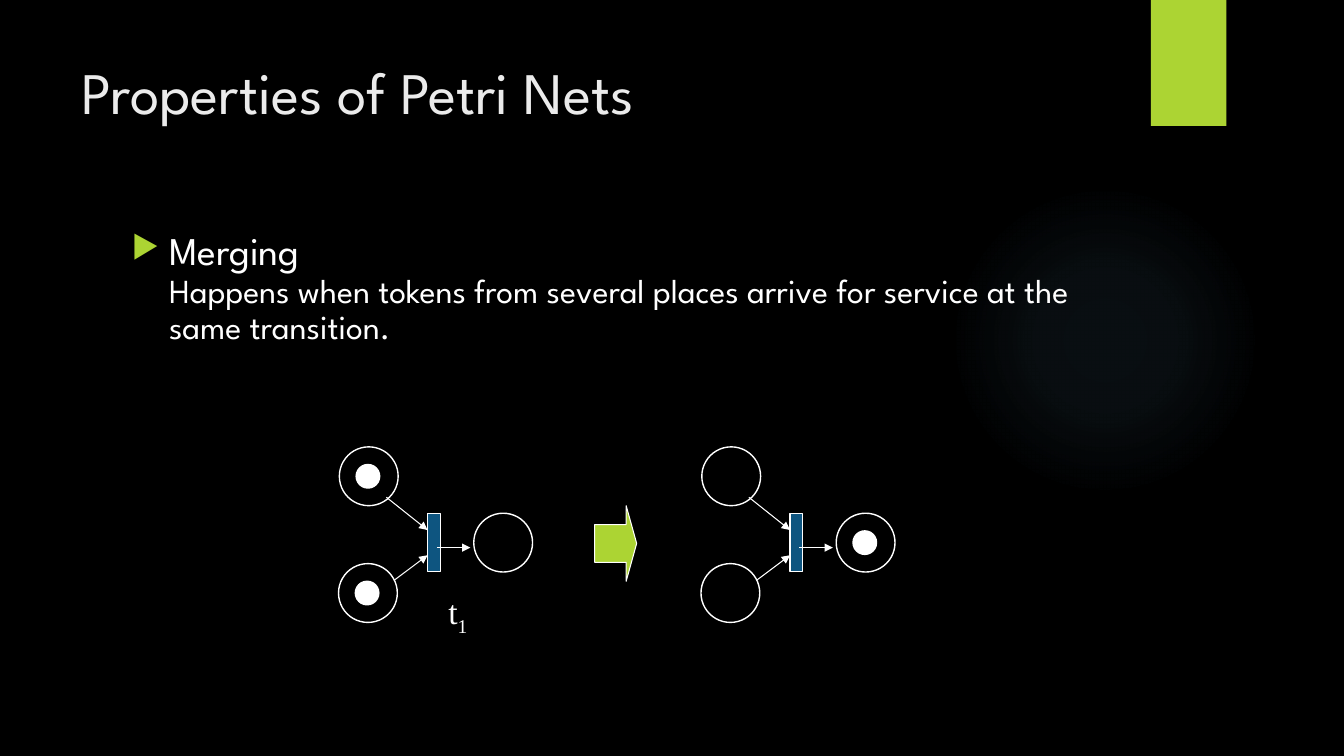
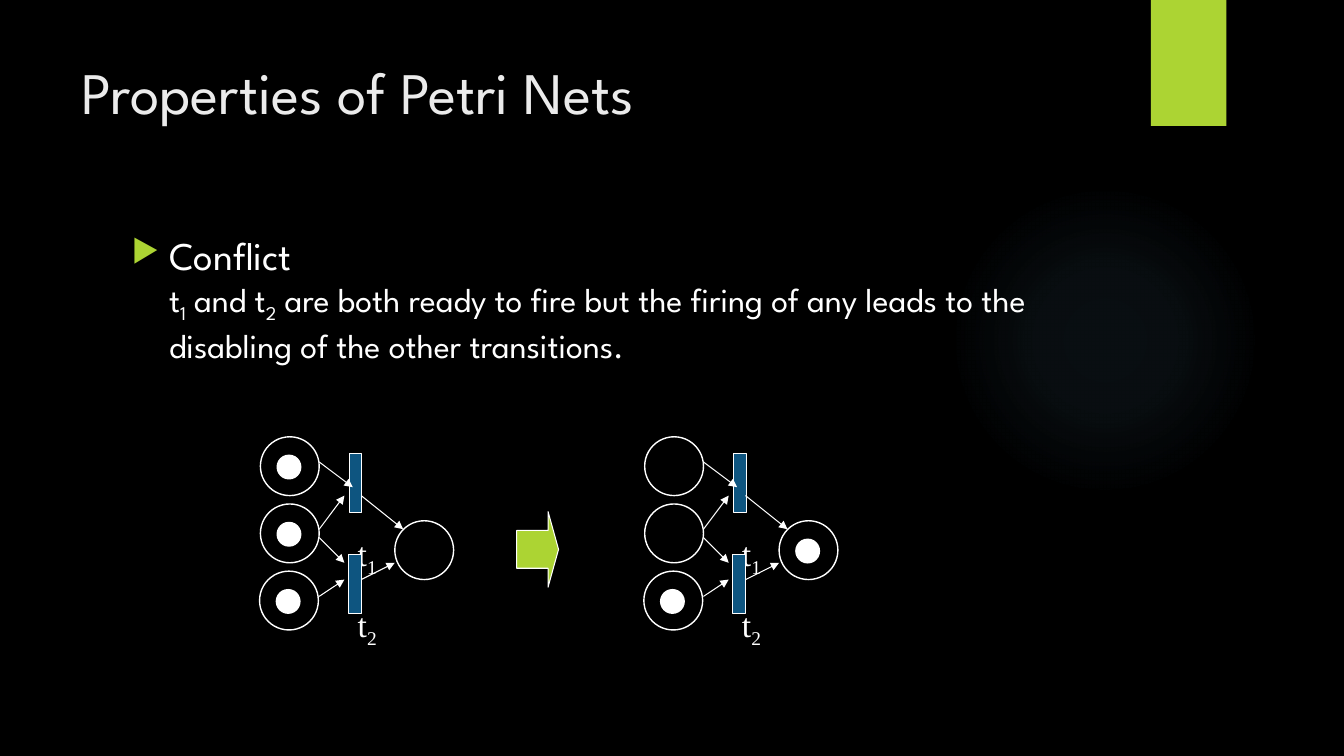
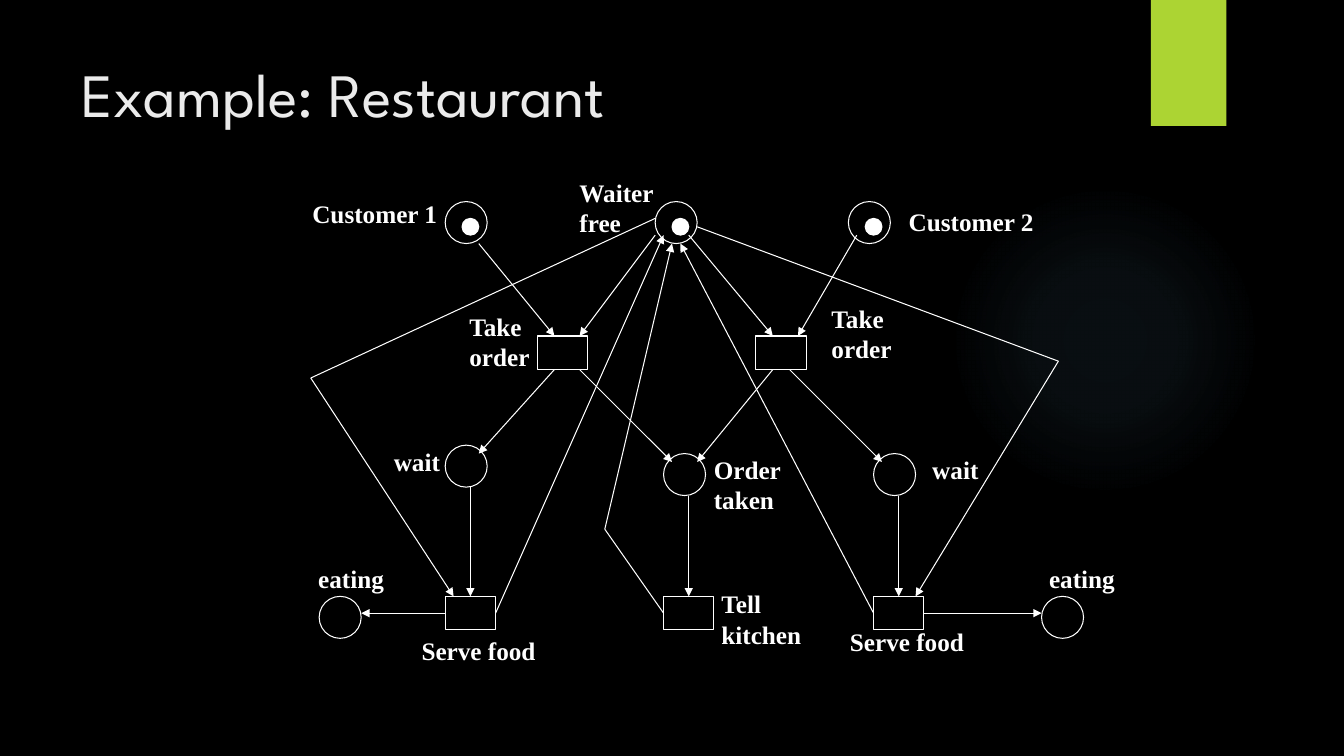
"""Three slides on Petri nets: merging, conflict and a restaurant example."""
from pptx import Presentation
from pptx import util as u
from pptx.dml.color import RGBColor
from pptx.enum import shapes, text
from pptx.oxml import parse_xml
from pptx.oxml.ns import nsdecls, qn

HUES = {"back": "000000", "ink": "FFFFFF", "title": "EBEBEB",
        "lime": "ACD433", "bar": "0E5580", "glow": "7AC4F0"}
SANS, SERIF = "League Spartan", "Times New Roman"
COLS, ROWS = 160, 90
KIND = shapes.MSO_SHAPE


def hue(name):
    return RGBColor.from_string(HUES[name])


class Deck:
    def __init__(self):
        self.prs = Presentation()
        self.prs.slide_width, self.prs.slide_height = u.Inches(13.33), u.Inches(7.5)
        back = self.prs.slide_master.background.fill
        back.solid()
        back.fore_color.rgb = hue("back")

    def at(self, x, y):
        return (round(self.prs.slide_width * x / COLS),
                round(self.prs.slide_height * y / ROWS))

    def page(self, title, size):
        self.slide = self.prs.slides.add_slide(self.prs.slide_layouts[5])
        self.ports = {}
        self.glow()
        self.shape(KIND.RECTANGLE, 137, 0, 9, 15, "lime", 0)
        head = self.slide.shapes.title
        head.left, head.top = self.at(8.5, 6)
        head.width, head.height = self.at(123.4, 18.4)
        frame = head.text_frame
        frame.text = title
        frame.auto_size = text.MSO_AUTO_SIZE.NONE
        frame.vertical_anchor = text.MSO_ANCHOR.TOP
        frame.paragraphs[0].alignment = text.PP_ALIGN.LEFT
        self.style(frame.paragraphs[0].runs[0], size, SANS, "title")

    def glow(self):
        disc = self.shape(KIND.OVAL, 113, 22, 37, 37, None, 0)
        stops = "".join(
            f'<a:gs pos="{pos}000"><a:srgbClr val="{HUES["glow"]}">'
            f'<a:alpha val="{alpha}000"/></a:srgbClr></a:gs>'
            for pos, alpha in ((0, 7), (36, 6), (69, 0)))
        fill = parse_xml(
            f'<a:gradFill {nsdecls("a")}><a:gsLst>{stops}</a:gsLst>'
            '<a:path path="circle"><a:fillToRect l="50000" t="50000" '
            'r="50000" b="50000"/></a:path></a:gradFill>')
        props = disc._element.spPr
        props.replace(props.find(qn("a:noFill")), fill)

    def shape(self, kind, x, y, w, h, fill=None, line=0.75):
        item = self.slide.shapes.add_shape(kind, *self.at(x, y), *self.at(w, h))
        item.shadow.inherit = False
        if fill:
            item.fill.solid()
            item.fill.fore_color.rgb = hue(fill)
        else:
            item.fill.background()
        if line:
            item.line.color.rgb = hue("ink")
            item.line.width = u.Pt(line)
        else:
            item.line.fill.background()
        return item

    def place(self, x, y, size=7, line=1):
        self.shape(KIND.OVAL, x, y, size, size, None, line)

    def token(self, x, y, size=2.8, line=1):
        self.shape(KIND.OVAL, x, y, size, size, "ink", line)

    def box(self, x, y, w=6, h=4, fill=None):
        item = self.shape(KIND.RECTANGLE, x, y, w, h, fill)
        mids = ((x + w / 2, y), (x, y + h / 2), (x + w / 2, y + h), (x + w, y + h / 2))
        for side, mid in enumerate(mids):
            self.ports[mid] = item, side

    def bar(self, x, y):
        self.box(x, y, 1.5, 7, "bar")

    def arrow(self, x, y):
        item = self.shape(KIND.RIGHT_ARROW, x, y, 5, 9, "lime")
        item.adjustments[0], item.adjustments[1] = 0.5, 0.25

    def link(self, *stops):
        for start, end in zip(stops, stops[1:]):
            line = self.slide.shapes.add_connector(
                shapes.MSO_CONNECTOR.STRAIGHT, *self.at(*start), *self.at(*end))
            line.line.color.rgb = hue("ink")
            line.line.width = u.Pt(0.75)
            props = line._element.spPr
            if end == stops[-1]:
                props.find(qn("a:ln")).append(
                    parse_xml(f'<a:tailEnd {nsdecls("a")} type="triangle"/>'))
            props.append(parse_xml(f'<a:effectLst {nsdecls("a")}/>'))
            if start in self.ports:
                line.begin_connect(*self.ports[start])
            if end in self.ports:
                line.end_connect(*self.ports[end])

    def style(self, run, size, font, tint="ink", bold=False):
        run.font.size, run.font.name, run.font.bold = u.Pt(size), font, bold
        run.font.color.rgb = hue(tint)

    def say(self, para, words, size, font, bold=False):
        """Add runs; the sign after each underscore is set as a subscript."""
        first, *rest = words.split("_")
        parts = [(first, False)]
        for bit in rest:
            parts += [(bit[0], True), (bit[1:], False)]
        for part, low in parts:
            if part:
                run = para.add_run()
                run.text = part
                self.style(run, size, font, bold=bold)
                if low:
                    run.font._element.set("baseline", "-25000")

    def frame(self, x, y, w, h):
        frame = self.slide.shapes.add_textbox(*self.at(x, y), *self.at(w, h)).text_frame
        frame.word_wrap = True
        return frame

    def label(self, x, y, words, size=18, bold=True):
        lines = words.split("\n")
        frame = self.frame(x, y, 18, 1.2 + 3.6 * len(lines))
        for num, line in enumerate(lines):
            para = frame.add_paragraph() if num else frame.paragraphs[0]
            self.say(para, line, size, SERIF, bold)

    def point(self, head, body, space):
        para = self.frame(14.5, 27, 117.4, 55).paragraphs[0]
        props = para._p.get_or_add_pPr()
        props.set("marL", str(u.Inches(0.37)))
        props.set("indent", str(-u.Inches(0.37)))
        for mark in (f'<a:buClr {nsdecls("a")}><a:srgbClr val="{HUES["lime"]}"/></a:buClr>',
                     f'<a:buSzPct {nsdecls("a")} val="80000"/>',
                     f'<a:buChar {nsdecls("a")} char="▶"/>'):
            props.append(parse_xml(mark))
        para.line_spacing = space
        self.say(para, head, 28, SANS)
        para.add_line_break()
        self.say(para, body, 24, SANS)


def merging(deck):
    deck.page("Properties of Petri Nets", 42)
    deck.point("Merging", "Happens when tokens from several places arrive for "
               "service at the same transition.", 0.9)
    deck.arrow(70.8, 60.2)
    spots = (40.4, 53.2), (40.3, 67.1), (56.4, 61.1)
    for dx, full in ((0, spots[:2]), (43.15, spots[2:])):
        for x, y in spots:
            deck.place(x + dx, y)
        for x, y in full:
            deck.token(x + dx + 2, y + 2.1)
        deck.bar(50.9 + dx, 61.1)
        for x, y, to, end in ((46, 59.2, 50.9, 63.1), (46.9, 69.1, 50.9, 66.1),
                              (52, 65.2, 56, 65.2)):
            deck.link((x + dx, y), (to + dx, end))
    deck.label(52.2, 69.8, "t_1", 24, False)


def conflict(deck):
    deck.page("Properties of Petri Nets", 42)
    deck.point("Conflict", "t_1 and t_2 are both ready to fire but the firing of any "
               "leads to the disabling of the other transitions.", 1.0)
    deck.arrow(61.5, 60.9)
    spots = (31, 52), (31, 60), (30.9, 68), (47, 62)
    for dx, full in ((0, spots[:3]), (45.75, spots[2:])):
        for x, y in spots:
            deck.place(x + dx, y)
        for x, y in full:
            deck.token(x + dx + 2, y + 2.2)
        for x, y, low, name in ((41.6, 54, 62.8, "t_1"), (41.5, 66, 71.3, "t_2")):
            deck.bar(x + dx, y)
            deck.label(41.4 + dx, low, name, 24, False)
        for x, y, to, end in ((38, 55, 42, 58), (43, 59, 48, 63), (38, 71, 41, 69),
                              (43, 69, 47, 67), (38, 63, 41, 59), (38, 64, 41, 67)):
            deck.link((x + dx, y), (to + dx, end))


def diner(deck):
    deck.page("Example: Restaurant", 44)
    for x, y in ((53, 24), (78, 24), (101, 24), (53, 53), (79, 54), (104, 54),
                 (38, 71), (124, 71)):
        deck.place(x, y, 5, 0.75)
    for x in (55, 80, 103):
        deck.token(x, 26, 2, 0.75)
    for x, y in ((64, 40), (90, 40), (53, 71), (79, 71), (104, 71)):
        deck.box(x, y)
    for stops in (
            ((57, 29), (66, 40)), ((78, 28), (69, 40)),
            ((82, 28), (92, 40)), ((102, 28), (95, 40)),
            ((66, 44), (57, 54)), ((69, 44), (80, 55)),
            ((92, 44), (83, 55)), ((94, 44), (105, 55)),
            ((56, 58), (56, 71)), ((82, 59), (82, 71)), ((107, 59), (107, 71)),
            ((53, 73), (43, 73)), ((110, 73), (124, 73)),
            ((59, 73), (79, 28)), ((104, 73), (81, 29)),
            ((79, 73), (72, 63), (80, 29)),
            ((78, 26), (37, 45), (54, 71)), ((83, 27), (126, 43), (109, 71))):
        deck.link(*stops)
    for x, y, words in (
            (67.8, 20.5, "Waiter\nfree"), (36, 23, "Customer 1"), (107, 24, "Customer 2"),
            (54.7, 36.5, "Take\norder"), (97.8, 35.5, "Take\norder"),
            (83.8, 53.5, "Order\ntaken"), (84.7, 69.5, "Tell\nkitchen"),
            (45.7, 52.5, "wait"), (109.8, 53.5, "wait"),
            (49, 75, "Serve food"), (100, 74, "Serve food"),
            (36.7, 66.5, "eating"), (123.7, 66.5, "eating")):
        deck.label(x, y, words)


def main():
    deck = Deck()
    for build in (merging, conflict, diner):
        build(deck)
    deck.prs.save("out.pptx")


if __name__ == "__main__":
    main()
